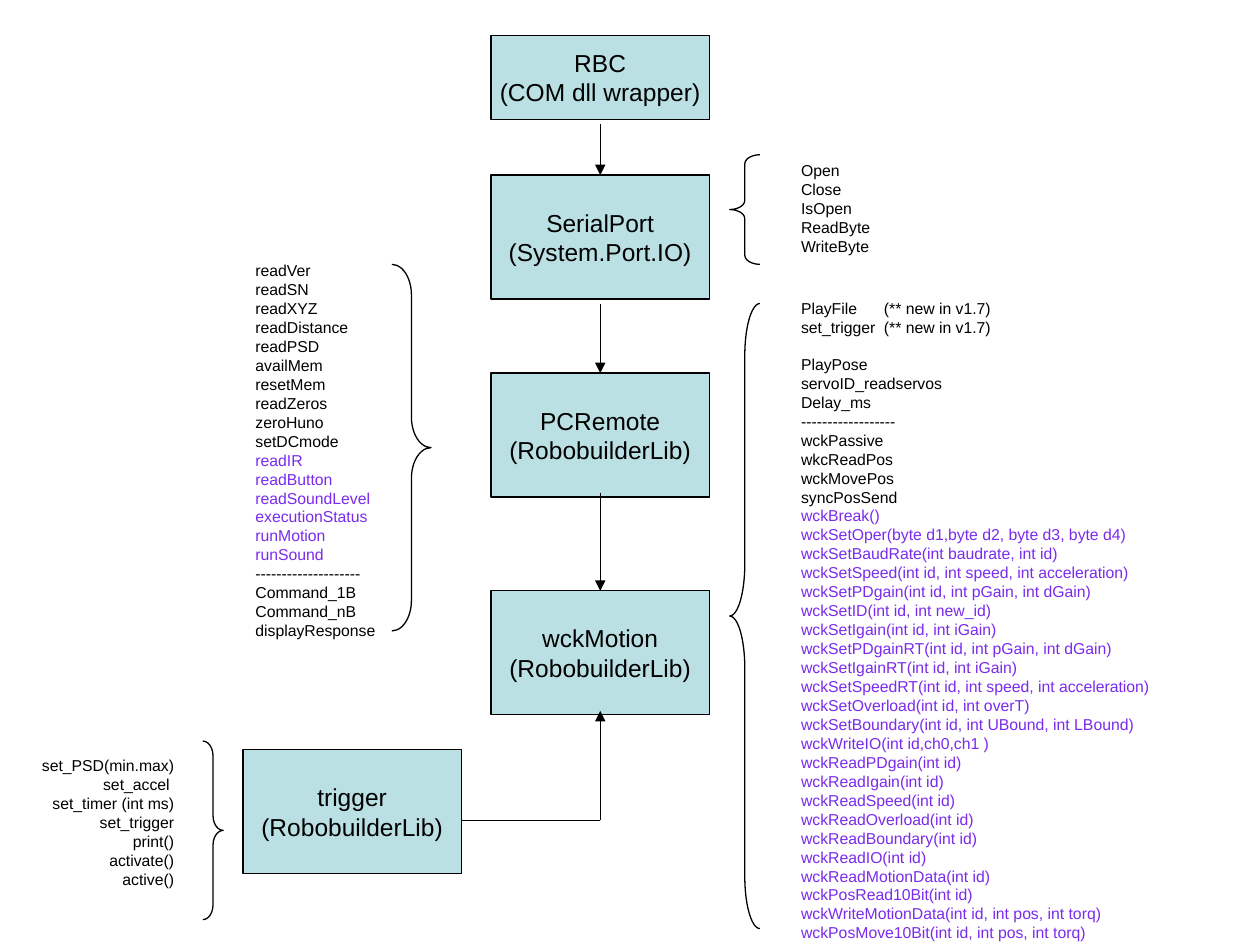
import pptx
import pptx.dml.color
import pptx.enum.shapes
import pptx.enum.text
import pptx.oxml.ns
import pptx.util
from lxml import etree

Cm = pptx.util.Cm
Pt = pptx.util.Pt
MSO_SHAPE = pptx.enum.shapes.MSO_SHAPE
ALIGN = pptx.enum.text.PP_ALIGN
qn = pptx.oxml.ns.qn

COLORS = {"box": "BBE0E3", "ink": "000000", "new": "7A2BED"}
BOX_FONT = {"name": "Arial", "size": Pt(14)}
LIST_FONT = {"name": "Arial", "size": Pt(9)}
FRAME = {
    "word_wrap": False,
    "margin_left": Cm(0.25), "margin_right": Cm(0.25),
    "margin_top": Cm(0.13), "margin_bottom": Cm(0.13),
}

BOX_WIDTH, BOX_HEIGHT = 4.4, 2.5
STACK_LEFT = 9.9
STACK_CENTER = STACK_LEFT + BOX_WIDTH / 2
LISTS_LEFT = 15.9
TRIGGER_LEFT, TRIGGER_TOP = 4.9, 15.11
TRIGGER_LINE_Y = 16.54
NOTE_TAB = 1.67

REMOTE_CALLS = [
    ("ink", ["readVer", "readSN", "readXYZ", "readDistance", "readPSD", "availMem",
             "resetMem", "readZeros", "zeroHuno", "setDCmode"]),
    ("new", ["readIR", "readButton", "readSoundLevel", "executionStatus",
             "runMotion", "runSound"]),
    ("ink", ["-" * 20, "Command_1B", "Command_nB", "displayResponse"]),
]
MOTION_CALLS = [
    ("ink", ["PlayFile\t(** new in v1.7)", "set_trigger\t(** new in v1.7)",
             "PlayPose", "servoID_readservos", "Delay_ms", "-" * 18,
             "wckPassive", "wkcReadPos", "wckMovePos", "syncPosSend"]),
    ("new", ["wckBreak()",
             "wckSetOper(byte d1,byte d2, byte d3, byte d4)",
             "wckSetBaudRate(int baudrate, int id)",
             "wckSetSpeed(int id, int speed, int acceleration)",
             "wckSetPDgain(int id, int pGain, int dGain)",
             "wckSetID(int id, int new_id)",
             "wckSetIgain(int id, int iGain)",
             "wckSetPDgainRT(int id, int pGain, int dGain)",
             "wckSetIgainRT(int id, int iGain)",
             "wckSetSpeedRT(int id, int speed, int acceleration)",
             "wckSetOverload(int id, int overT)",
             "wckSetBoundary(int id, int UBound, int LBound)",
             "wckWriteIO(int id,ch0,ch1 )",
             "wckReadPDgain(int id)",
             "wckReadIgain(int id)",
             "wckReadSpeed(int id)",
             "wckReadOverload(int id)",
             "wckReadBoundary(int id)",
             "wckReadIO(int id)",
             "wckReadMotionData(int id)",
             "wckPosRead10Bit(int id)",
             "wckWriteMotionData(int id, int pos, int torq)",
             "wckPosMove10Bit(int id, int pos, int torq)"]),
]
PORT_CALLS = [("ink", ["Open", "Close", "IsOpen", "ReadByte", "WriteByte"])]
TRIGGER_CALLS = [("ink", ["set_PSD(min.max)", "set_accel ", "set_timer (int ms)",
                          "set_trigger", "print()", "activate()", "active()"])]


def rgb(name):
    return pptx.dml.color.RGBColor.from_string(COLORS[name])


def apply(target, values):
    for name, value in values.items():
        setattr(target, name, value)


def set_line(shape):
    shape.line.color.rgb = rgb("ink")
    shape.line.width = Pt(0.75)


def write_lines(frame, sections, font, align):
    """Write one paragraph per line; sections are (colour name, lines) pairs."""
    apply(frame, FRAME)
    lines = [(color, line) for color, group in sections for line in group]
    for index, (color, line) in enumerate(lines):
        paragraph = frame.add_paragraph() if index else frame.paragraphs[0]
        paragraph.alignment = align
        run = paragraph.add_run()
        run.text = line
        apply(run.font, font)
        run.font.color.rgb = rgb(color)


def add_box(slide, left, top, height, lines):
    shape = slide.shapes.add_shape(
        MSO_SHAPE.RECTANGLE, Cm(left), Cm(top), Cm(BOX_WIDTH), Cm(height))
    shape.shadow.inherit = False
    shape.fill.solid()
    shape.fill.fore_color.rgb = rgb("box")
    set_line(shape)
    shape.text_frame.vertical_anchor = pptx.enum.text.MSO_ANCHOR.MIDDLE
    write_lines(shape.text_frame, [("ink", lines)], BOX_FONT, ALIGN.CENTER)
    return shape


def add_list(slide, bounds, sections, align=ALIGN.LEFT):
    shape = slide.shapes.add_textbox(*map(Cm, bounds))
    write_lines(shape.text_frame, sections, LIST_FONT, align)
    return shape


def add_brace(slide, kind, left, top, width, height):
    shape = slide.shapes.add_shape(kind, Cm(left), Cm(top), Cm(width), Cm(height))
    shape.shadow.inherit = False
    shape.fill.background()
    set_line(shape)
    shape.adjustments[0] = height / width / 12  # each curve is 1/12 of the height


def add_line(slide, start, end, arrow=True):
    connector = slide.shapes.add_connector(
        pptx.enum.shapes.MSO_CONNECTOR.STRAIGHT, *map(Cm, start + end))
    set_line(connector)
    if arrow:
        etree.SubElement(connector.line._get_or_add_ln(), qn("a:tailEnd"), type="triangle")
    etree.SubElement(connector._element.spPr, qn("a:effectLst"))
    return connector


def add_arrow_down(slide, start_y, box):
    connector = add_line(slide, (STACK_CENTER, start_y), (STACK_CENTER, box.top.cm))
    connector.end_connect(box, 0)


def space_motion_list(shape):
    """Align the version notes on a tab stop and set the next group apart."""
    paragraphs = shape.text_frame.paragraphs
    for paragraph in paragraphs[:2]:
        tabs = etree.SubElement(paragraph._p.get_or_add_pPr(), qn("a:tabLst"))
        etree.SubElement(tabs, qn("a:tab"), pos=str(Cm(NOTE_TAB)), algn="l")
    paragraphs[2].space_before = Pt(10.35)


def main():
    presentation = pptx.Presentation()
    presentation.slide_width, presentation.slide_height = Cm(25.4), Cm(19.05)
    slide = presentation.slides.add_slide(presentation.slide_layouts[6])

    add_box(slide, STACK_LEFT, 0.71, 1.7, ["RBC", "(COM dll wrapper)"])
    for top, arrow_start, name, library in [
        (3.53, 2.51, "SerialPort", "(System.Port.IO)"),
        (7.52, 6.12, "PCRemote", "(RobobuilderLib)"),
        (11.91, 9.93, "wckMotion", "(RobobuilderLib)"),
    ]:
        box = add_box(slide, STACK_LEFT, top, BOX_HEIGHT, [name, library])
        add_arrow_down(slide, arrow_start, box)

    add_box(slide, TRIGGER_LEFT, TRIGGER_TOP, BOX_HEIGHT, ["trigger", "(RobobuilderLib)"])
    corner = (STACK_CENTER, TRIGGER_LINE_Y)
    add_line(slide, (TRIGGER_LEFT + BOX_WIDTH, TRIGGER_LINE_Y), corner, arrow=False)
    add_line(slide, corner, (STACK_CENTER, 14.33))

    add_list(slide, (4.9, 5.13, 2.92, 7.9), REMOTE_CALLS)
    add_list(slide, (LISTS_LEFT, 3.12, 2.36, 2.16), PORT_CALLS)
    motion_list = add_list(slide, (LISTS_LEFT, 5.89, 7.52, 13.26), MOTION_CALLS)
    space_motion_list(motion_list)
    add_list(slide, (0.58, TRIGGER_TOP, 3.18, 2.95), TRIGGER_CALLS, ALIGN.RIGHT)

    add_brace(slide, MSO_SHAPE.RIGHT_BRACE, 7.9, 5.33, 0.79, 7.39)
    add_brace(slide, MSO_SHAPE.RIGHT_BRACE, 4.09, 14.94, 0.41, 3.6)
    add_brace(slide, MSO_SHAPE.LEFT_BRACE, 14.71, 3.12, 0.61, 2.21)
    add_brace(slide, MSO_SHAPE.LEFT_BRACE, 14.71, 6.12, 0.61, 12.6)

    presentation.save("out.pptx")


if __name__ == "__main__":
    main()
